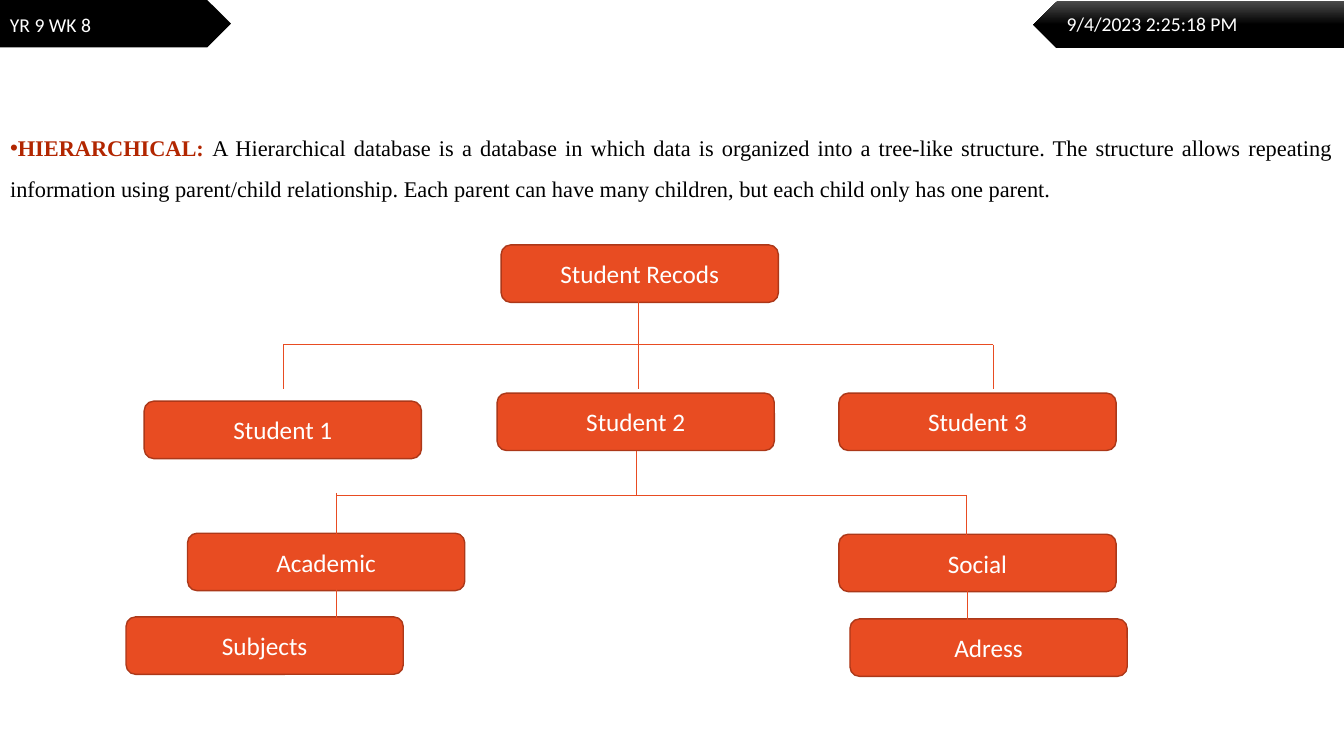
from dataclasses import dataclass

from lxml import etree
from pptx import Presentation
from pptx.dml.color import RGBColor
from pptx.enum.shapes import MSO_CONNECTOR, MSO_SHAPE
from pptx.enum.text import MSO_ANCHOR, MSO_AUTO_SIZE, PP_ALIGN
from pptx.oxml.ns import qn
from pptx.util import Inches, Pt

PENTAGON, ROUNDED = MSO_SHAPE.PENTAGON, MSO_SHAPE.ROUNDED_RECTANGLE
STRAIGHT = MSO_CONNECTOR.STRAIGHT
TOP, MIDDLE = MSO_ANCHOR.TOP, MSO_ANCHOR.MIDDLE
CENTER, JUSTIFY = PP_ALIGN.CENTER, PP_ALIGN.JUSTIFY
NO_FIT = MSO_AUTO_SIZE.NONE


@dataclass(frozen=True)
class Theme:
    black: str = "000000"
    sheen: str = "4B4B4B"
    white: str = "FFFFFF"
    accent: str = "E84C22"
    edge: str = "AC3819"
    heading: str = "B22600"
    sans: str = "Calibri"
    serif: str = "Times New Roman"
    banner_size: int = 14
    body_size: int = 16
    node_size: int = 18


class SlideBuilder:
    def __init__(self, slide, theme):
        self.slide, self.theme = slide, theme

    def run(self, p, text, font, size, color, bold=False):
        r = p.add_run()
        r.text = text
        r.font.name, r.font.size, r.font.bold = font, Pt(size), bold
        r.font.color.rgb = RGBColor.from_string(color)

    def shape(self, kind, x, y, w, h, fill):
        sp = self.slide.shapes.add_shape(
            kind, Inches(x), Inches(y), Inches(w), Inches(h))
        sp.shadow.inherit = False
        sp.fill.solid()
        sp.fill.fore_color.rgb = RGBColor.from_string(fill)
        sp.line.fill.background()
        return sp

    def banner(self, x, y, w, h):
        return self.shape(PENTAGON, x, y, w, h, self.theme.black)

    def shaded_banner(self, x, y, w, h):
        sp = self.banner(x, y, w, h)
        sp._element.spPr.xfrm.set("flipH", "1")
        sp.fill.gradient()
        sp.fill.gradient_angle = 270
        start, end = sp.fill.gradient_stops
        start.color.rgb = RGBColor.from_string(self.theme.sheen)
        end.color.rgb = RGBColor.from_string(self.theme.black)
        start.position, end.position = 0, 0.5

    def label(self, x, y, w, h, text):
        t = self.theme
        tf = self.slide.shapes.add_textbox(
            Inches(x), Inches(y), Inches(w), Inches(h)).text_frame
        tf.word_wrap = True
        self.run(tf.paragraphs[0], text, t.sans, t.banner_size, t.white)

    def definition(self, x, y, w, h, term, text):
        t = self.theme
        sp = self.slide.placeholders[1]
        sp.left, sp.top, sp.width, sp.height = map(Inches, (x, y, w, h))
        tf = sp.text_frame
        tf.auto_size, tf.vertical_anchor = NO_FIT, TOP
        p = tf.paragraphs[0]
        p.alignment, p.line_spacing = JUSTIFY, 1.5
        p.space_before, p.space_after = Pt(0), Pt(10)
        pPr = p._p.get_or_add_pPr()
        pPr.set("marL", "0")
        pPr.set("indent", str(-Inches(0.25)))
        etree.SubElement(pPr, qn("a:buFont")).set("typeface", "Arial")
        etree.SubElement(pPr, qn("a:buChar")).set("char", "•")
        self.run(p, term, t.serif, t.body_size, t.heading, True)
        self.run(p, text, t.serif, t.body_size, t.black)

    def node(self, x, y, text):
        t = self.theme
        sp = self.shape(ROUNDED, x, y, 2.75, 0.57, t.accent)
        sp.line.color.rgb = RGBColor.from_string(t.edge)
        sp.line.width = Pt(1)
        tf = sp.text_frame
        tf.word_wrap, tf.vertical_anchor = True, MIDDLE
        p = tf.paragraphs[0]
        p.alignment = CENTER
        self.run(p, text, t.sans, t.node_size, t.white)

    def line(self, x1, y1, x2, y2):
        c = self.slide.shapes.add_connector(
            STRAIGHT, Inches(x1), Inches(y1), Inches(x2), Inches(y2))
        c.line.color.rgb = RGBColor.from_string(self.theme.accent)
        c.line.width = Pt(0.5)
        etree.SubElement(c._element.spPr, qn("a:effectLst"))

    def drop(self, x, y):
        self.line(x, y, x, y + 0.44)


def main():
    prs = Presentation()
    prs.slide_width, prs.slide_height = Inches(13.33), Inches(7.5)
    s = prs.slides.add_slide(prs.slide_layouts[1])
    title = s.shapes.title._element
    title.getparent().remove(title)
    b = SlideBuilder(s, Theme())

    # Header banners
    b.banner(0, 0, 2.29, 0.47)
    b.shaded_banner(10.25, 0.01, 3.08, 0.47)
    b.label(10.48, 0.07, 3.08, 0.34, "9/4/2023 2:25:18 PM")
    b.label(0, 0.08, 1.86, 0.34, "YR 9 WK 8")

    # Definition
    b.definition(
        0, 1.15, 13.32, 0.9, "HIERARCHICAL: ",
        "A Hierarchical database is a database in which data is organized "
        "into a tree-like structure. The structure allows repeating "
        "information using parent/child relationship. Each parent can have "
        "many children, but each child only has one parent.")

    # Tree nodes
    for x, y, text in [
        (4.97, 2.43, "Student Recods"),
        (1.43, 3.98, "Student 1"),
        (4.93, 3.9, "Student 2"),
        (8.32, 3.9, "Student 3"),
        (1.86, 5.29, "Academic"),
        (8.32, 5.3, "Social"),
        (1.25, 6.12, "Subjects"),
        (8.43, 6.14, "Adress"),
    ]:
        b.node(x, y, text)

    # Branches: horizontal rails, then equal vertical drops
    b.line(2.81, 3.42, 9.85, 3.42)
    b.line(3.34, 4.91, 9.58, 4.91)
    for x, y in [(6.33, 2.98), (2.81, 3.42), (6.33, 3.42), (9.85, 3.42),
                 (6.31, 4.47), (3.34, 4.89), (9.58, 4.91),
                 (3.34, 5.82), (9.59, 5.75)]:
        b.drop(x, y)

    prs.save("out.pptx")


if __name__ == "__main__":
    main()
